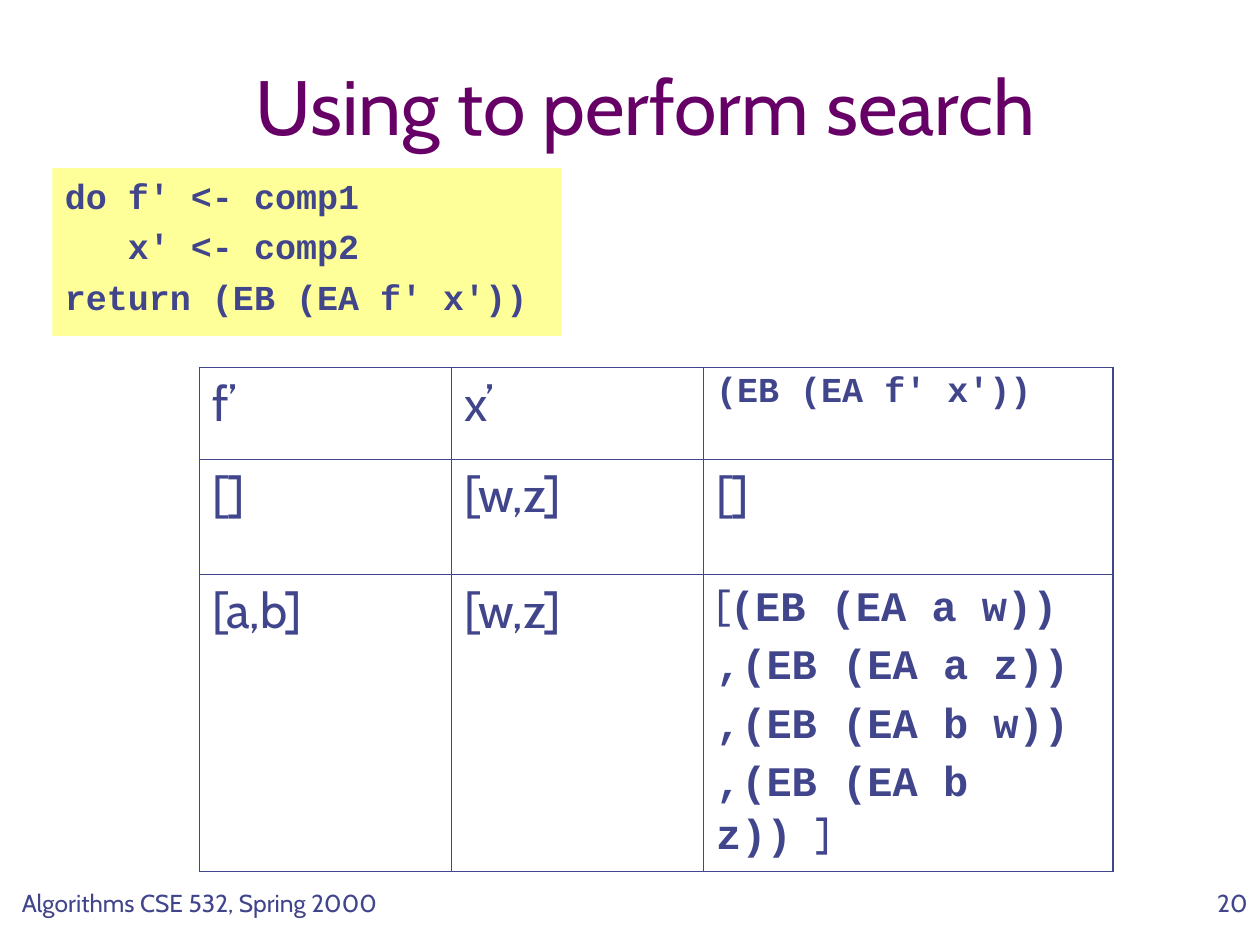
from lxml import etree
from pptx import Presentation
from pptx.dml.color import RGBColor
from pptx.enum import text
from pptx.oxml.ns import qn
from pptx.util import Pt

INK, PLUM, YELLOW = "40458C", "660066", "FFFF99"
SANS, MONO = "Cabin", "Courier New"
THICK, THIN = 1.08, 0.45


def color(hex_code):
    return RGBColor.from_string(hex_code)


def style(font, name, size, ink=INK):
    """Courier New is always bold on this slide."""
    font.name = name
    font.size = Pt(size)
    font.bold = name == MONO
    font.color.rgb = color(ink)


def write(frame, lines, name, size, ink=INK, gap=0, align=text.PP_ALIGN.LEFT):
    """Write one paragraph per line; a line is a string or (string, font) pairs."""
    for number, line in enumerate(lines):
        paragraph = frame.paragraphs[0] if number == 0 else frame.add_paragraph()
        paragraph.alignment = align
        if number:
            paragraph.space_before = Pt(gap)
        if isinstance(line, str):
            paragraph.add_run().text = line
            style(paragraph.font, name, size, ink)
        else:
            for part, part_font in line:
                run = paragraph.add_run()
                run.text = part
                style(run.font, part_font, size, ink)


def add_text(slide, box, lines, name, size, fill=None,
             anchor=text.MSO_ANCHOR.TOP, **options):
    holder = slide.shapes.add_textbox(*map(Pt, box))
    if fill:
        holder.fill.solid()
        holder.fill.fore_color.rgb = color(fill)
    frame = holder.text_frame
    frame.word_wrap = True
    frame.vertical_anchor = anchor
    write(frame, lines, name, size, **options)


def set_borders(cell, widths):
    """Draw cell borders; widths are left, right, top, bottom."""
    properties = cell._tc.get_or_add_tcPr()
    for place, (side, width) in enumerate(zip("LRTB", widths)):
        line = etree.Element(qn(f"a:ln{side}"), w=str(int(Pt(width))))
        fill = etree.SubElement(line, qn("a:solidFill"))
        etree.SubElement(fill, qn("a:srgbClr"), val=INK)
        properties.insert(place, line)


def add_search_table(slide, left, top, columns, heights, rows):
    grid = slide.shapes.add_table(len(rows), len(columns), Pt(left), Pt(top),
                                  Pt(sum(columns)), Pt(sum(heights))).table
    grid.first_row = grid.horz_banding = False
    for column, width in zip(grid.columns, columns):
        column.width = Pt(width)
    for row, height in zip(grid.rows, heights):
        row.height = Pt(height)
    last_row, last_column = len(rows) - 1, len(columns) - 1
    for r, row in enumerate(rows):
        for c, (lines, name, size) in enumerate(row):
            cell = grid.cell(r, c)
            cell.margin_left = cell.margin_right = Pt(7.2)
            cell.margin_top = cell.margin_bottom = Pt(3.6)
            cell.fill.background()
            write(cell.text_frame, lines, name, size, gap=6)
            outer = (c == 0, c == last_column, r == 0, r == last_row)
            set_borders(cell, [THICK if edge else THIN for edge in outer])


def main():
    deck = Presentation()
    deck.slide_width, deck.slide_height = Pt(720), Pt(540)
    slide = deck.slides.add_slide(deck.slide_layouts[6])

    add_text(slide, (48, 30, 642, 60), ["Using to perform search"], SANS, 44,
             anchor=text.MSO_ANCHOR.BOTTOM, ink=PLUM,
             align=text.PP_ALIGN.CENTER)
    add_text(slide, (30, 96, 291, 96),
             ["do f' <- comp1", "   x' <- comp2", "return (EB (EA f' x'))"],
             MONO, 20, fill=YELLOW, gap=5)

    def value(content):
        return [content], SANS, 28

    results = [
        [("[", SANS), ("(EB (EA a w))", MONO)],
        ",(EB (EA a z))",
        ",(EB (EA b w))",
        [(",(EB (EA b z)) ", MONO), ("]", SANS)],
    ]
    add_search_table(slide, 114, 210, [144, 144, 234], [52.5, 66, 169.5], [
        [value("f’"), value("x’"), (["(EB (EA f' x'))"], MONO, 20)],
        [value("[]"), value("[w,z]"), value("[]")],
        [value("[a,b]"), value("[w,z]"), (results, MONO, 24)],
    ])

    add_text(slide, (0, 504, 228, 36), ["Algorithms CSE 532, Spring 2000"],
             SANS, 14, align=text.PP_ALIGN.CENTER)
    add_text(slide, (570, 504, 150, 36), ["20"], SANS, 14,
             align=text.PP_ALIGN.RIGHT)
    deck.save("out.pptx")


if __name__ == "__main__":
    main()
